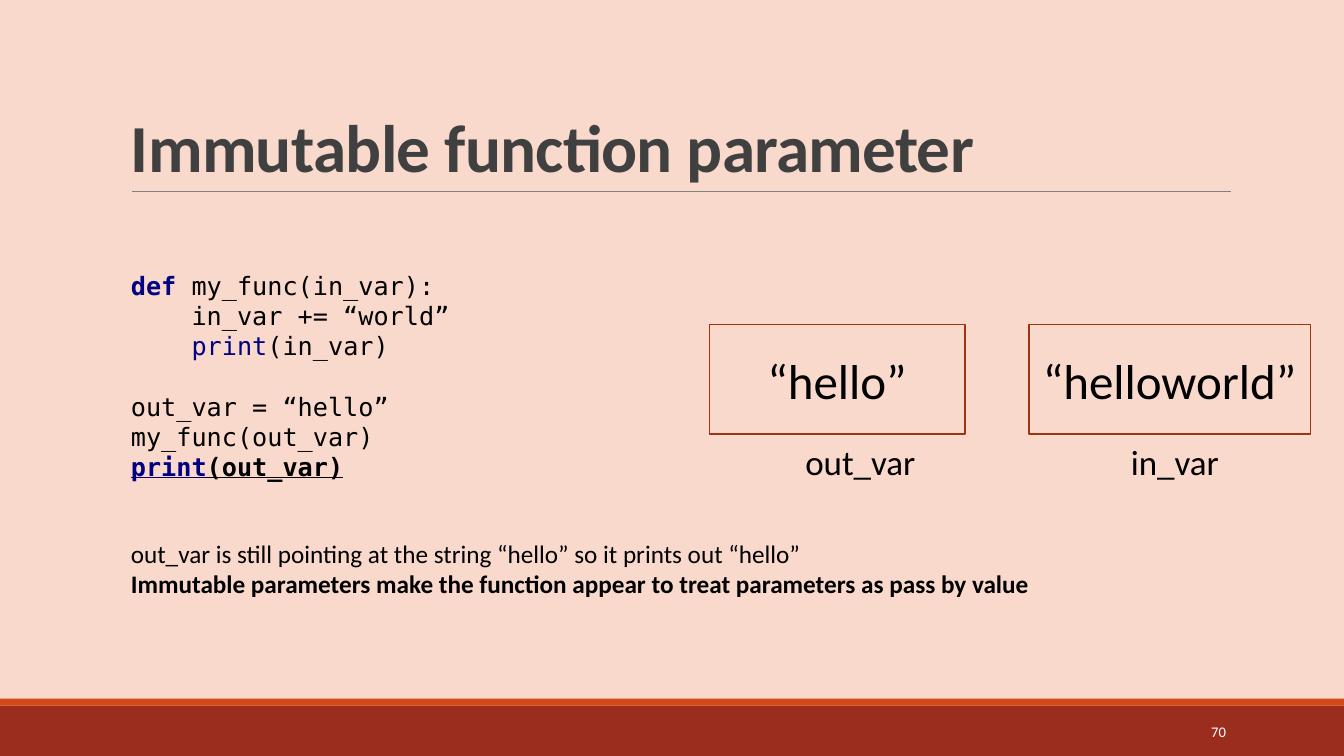
from lxml import etree
from pptx import Presentation
from pptx.dml.color import RGBColor
from pptx.enum.shapes import MSO_CONNECTOR, MSO_SHAPE
from pptx.enum.text import MSO_ANCHOR, PP_ALIGN
from pptx.oxml.ns import qn
from pptx.util import Inches, Pt

RECTANGLE = MSO_SHAPE.RECTANGLE
STRAIGHT = MSO_CONNECTOR.STRAIGHT
TOP, MIDDLE, BOTTOM = MSO_ANCHOR.TOP, MSO_ANCHOR.MIDDLE, MSO_ANCHOR.BOTTOM
LEFT, CENTER, RIGHT = PP_ALIGN.LEFT, PP_ALIGN.CENTER, PP_ALIGN.RIGHT

WIDTH, HEIGHT = Inches(13.333), Inches(7.5)
MARGIN = 9  # left edge of the content, percent of the slide width
BODY_FONT, CODE_FONT = "Calibri", "DejaVu Sans Mono"
BLACK, WHITE, NAVY = "000000", "FFFFFF", "000080"
PEACH, BRICK, ORANGE = "FAD9CD", "9B2D1F", "D34817"
BOX_LINE, RULE_GREY, TITLE_GREY = "9C3511", "808080", "404040"

KEYWORD = {"color": NAVY, "bold": True}
BUILTIN = {"color": NAVY}
CURRENT = {"bold": True, "underline": True}
CODE_BLOCKS = [
    [
        [("def ", KEYWORD), ("my_func(in_var):", {})],
        [("    in_var += “world”", {})],
        [("    ", {}), ("print", BUILTIN), ("(in_var)", {})],
    ],
    [
        [("out_var = “hello”", {})],
        [("my_func(out_var)", {})],
        [("print", {**CURRENT, "color": NAVY}), ("(out_var)", CURRENT)],
    ],
]
EXPLANATION = [
    [("out_var is still pointing at the string “hello” so it prints out “hello”", {})],
    [("Immutable parameters make the function appear to treat parameters "
      "as pass by value", {"bold": True})],
]
# value, box left, box width, variable name, name left, name width
VARIABLES = [
    ("“hello”", 52.8, 18.98, "out_var", 59.18, 9.83),
    ("“helloworld”", 76.58, 20.93, "in_var", 83.4, 8.18),
]


def rgb(hex_color):
    return RGBColor.from_string(hex_color)


def across(percent):
    return round(WIDTH * percent / 100)


def down(percent):
    return round(HEIGHT * percent / 100)


def area(left, top, width, height):
    """Turn percentages of the slide into a position and a size."""
    return across(left), down(top), across(width), down(height)


def format_run(run, size, font, color, bold=False, underline=False, spacing=None):
    run.font.size = Pt(size)
    run.font.name = font
    run.font.color.rgb = rgb(color)
    run.font.bold = bold
    run.font.underline = underline
    if spacing is not None:
        run.font._element.set("spc", str(round(spacing * 100)))


def write(frame, lines, anchor=TOP, align=LEFT, wrap=True, line_spacing=None,
          gaps=None, **run_format):
    """Fill a frame from a string or from lines of (text, format) pieces.

    gaps maps a line's index to the points of space before it.
    """
    if isinstance(lines, str):
        lines = [[(lines, {})]]
    frame.word_wrap = wrap
    frame.vertical_anchor = anchor
    for index, pieces in enumerate(lines):
        paragraph = frame.add_paragraph() if index else frame.paragraphs[0]
        paragraph.alignment = align
        if line_spacing:
            paragraph.line_spacing = line_spacing
        if gaps and index in gaps:
            paragraph.space_before = Pt(gaps[index])
        for text, piece_format in pieces:
            run = paragraph.add_run()
            run.text = text
            format_run(run, **{**run_format, **piece_format})


def add_text(slide, place, lines, size, font=BODY_FONT, color=BLACK, **text_format):
    frame = slide.shapes.add_textbox(*area(*place)).text_frame
    write(frame, lines, size=size, font=font, color=color, **text_format)


def add_rectangle(slide, place, fill=None, line=None):
    rectangle = slide.shapes.add_shape(RECTANGLE, *area(*place))
    rectangle.shadow.inherit = False
    if fill:
        rectangle.fill.solid()
        rectangle.fill.fore_color.rgb = rgb(fill)
    else:
        rectangle.fill.background()
    if line:
        rectangle.line.color.rgb = rgb(line)
        rectangle.line.width = Pt(1.25)
    else:
        rectangle.line.fill.background()
    return rectangle


def add_rule(slide, left, right, top):
    rule = slide.shapes.add_connector(
        STRAIGHT, across(left), down(top), across(right), down(top))
    rule.line.color.rgb = rgb(RULE_GREY)
    rule.line.width = Pt(0.5)
    etree.SubElement(rule._element.spPr, qn("a:effectLst"))


def add_variable(slide, value, box_left, box_width, name, name_left, name_width):
    box = add_rectangle(slide, (box_left, 42.93, box_width, 14.53), line=BOX_LINE)
    write(box.text_frame, value, anchor=MIDDLE, align=CENTER,
          size=35, font=BODY_FONT, color=BLACK)
    add_text(slide, (name_left, 57.6, name_width, 6.93), name, 25, wrap=False)


def add_code(slide, place, blocks):
    first_block, second_block = blocks
    add_text(slide, place, first_block + second_block, 18, font=CODE_FONT,
             anchor=MIDDLE, gaps={len(first_block): 21.6})


def main():
    deck = Presentation()
    deck.slide_width, deck.slide_height = WIDTH, HEIGHT
    slide = deck.slides.add_slide(deck.slide_layouts[6])
    slide.background.fill.solid()
    slide.background.fill.fore_color.rgb = rgb(PEACH)

    add_rectangle(slide, (0, 93.33, 100, 6.67), fill=BRICK)
    add_rectangle(slide, (0, 92.4, 100, 0.93), fill=ORANGE)
    add_rule(slide, 9.83, 91.58, 25.33)
    add_text(slide, (MARGIN, 4.13, 82.5, 21.2), "Immutable function parameter", 48,
             color=TITLE_GREY, bold=True, spacing=-0.5, anchor=BOTTOM,
             line_spacing=0.85)
    add_text(slide, (81.23, 94.13, 10.73, 5.33), "70", 10.5, color=WHITE,
             anchor=MIDDLE, align=RIGHT)
    add_code(slide, (MARGIN, 34.93, 34.95, 29.6), CODE_BLOCKS)
    for variable in VARIABLES:
        add_variable(slide, *variable)
    add_text(slide, (MARGIN, 70.53, 82.95, 9.47), EXPLANATION, 18)

    deck.save("out.pptx")


if __name__ == "__main__":
    main()
